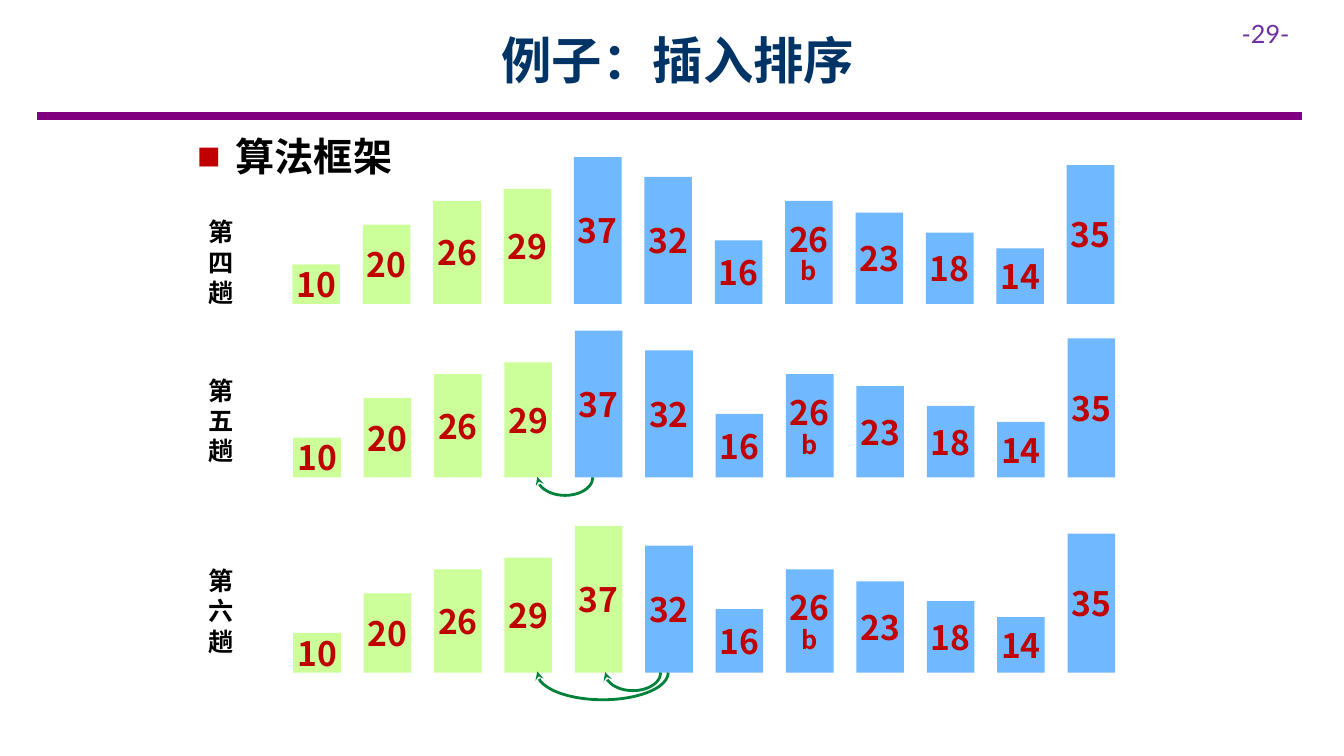
"""Build the insertion sort slide with three passes of bars."""
from lxml import etree
from pptx import Presentation
from pptx.dml.color import RGBColor
from pptx.enum.shapes import MSO_CONNECTOR, MSO_SHAPE
from pptx.enum.text import MSO_ANCHOR, MSO_AUTO_SIZE, PP_ALIGN
from pptx.oxml.ns import qn
from pptx.util import Cm, Pt

CENTER, LEFT = PP_ALIGN.CENTER, PP_ALIGN.LEFT
MIDDLE, TOP = MSO_ANCHOR.MIDDLE, MSO_ANCHOR.TOP
NO_AUTOFIT = MSO_AUTO_SIZE.NONE
RECTANGLE, ARC = MSO_SHAPE.RECTANGLE, MSO_SHAPE.ARC
STRAIGHT = MSO_CONNECTOR.STRAIGHT

COLORS = {
    "title": "003366", "rule": "800080", "page": "7030A0", "text": "000000",
    "accent": "C00000", "sorted": "CCFF99", "unsorted": "70B8FF", "arrow": "00823B",
}
CHINESE_FONT, LATIN_FONT = "Noto Sans CJK SC", "Lato"

BAR_LABELS = ["10", "20", "26", "29", "37", "32", "16", "26b", "23", "18", "14", "35"]
BAR_WIDTH, BAR_PITCH, HEIGHT_PER_UNIT = 1.2, 1.774, 0.1
HALF_TURN = (162, 54.597)

PASSES = [
    {"label": "第四趟", "label_top": 5.33, "left": 7.37, "base": 7.66,
     "sorted_count": 4, "arrows": []},
    {"label": "第五趟", "label_top": 9.32, "left": 7.39, "base": 12.03,
     "sorted_count": 4, "arrows": [(6.15, 1.4, 0.91)]},
    {"label": "第六趟", "label_top": 14.12, "left": 7.39, "base": 16.95,
     "sorted_count": 5, "arrows": [(7.86, 1.4, 0.91), (6.15, 3.3, 1.37)]},
]


def color(name):
    """Return the named colour."""
    return RGBColor.from_string(COLORS[name])


def write(paragraph, text, size=24, fill="text", font=CHINESE_FONT, bold=True,
          align=LEFT, spacing=None, after=0):
    """Write one formatted run into a paragraph."""
    paragraph.alignment = align
    paragraph.space_before, paragraph.space_after = Pt(0), Pt(after)
    if spacing is not None:
        paragraph.line_spacing = spacing
    run = paragraph.add_run()
    run.text = text
    run.font.size, run.font.bold, run.font.name = Pt(size), bold, font
    run.font.color.rgb = color(fill)
    east_asian = etree.SubElement(run.font._element, qn("a:ea"))
    east_asian.set("typeface", font)


def set_frame(shape, anchor=TOP, side=0.25, edge=0.13):
    """Set wrapping, anchor and insets, and return the text frame."""
    frame = shape.text_frame
    frame.word_wrap, frame.auto_size = True, NO_AUTOFIT
    frame.vertical_anchor = anchor
    frame.margin_left = frame.margin_right = Cm(side)
    frame.margin_top = frame.margin_bottom = Cm(edge)
    return frame


def place(shape, left, top, width, height):
    """Move a placeholder to a box given in centimetres."""
    shape.left, shape.top = Cm(left), Cm(top)
    shape.width, shape.height = Cm(width), Cm(height)


def add_text(slide, box, text, **text_format):
    """Add a text box with one paragraph."""
    shape = slide.shapes.add_textbox(*map(Cm, box))
    write(set_frame(shape).paragraphs[0], text, **text_format)


def add_bullet(paragraph):
    """Give the paragraph a hanging red square."""
    properties = paragraph._p.get_or_add_pPr()
    properties.set("marL", str(Cm(0.97)))
    properties.set("indent", str(-Cm(0.97)))
    bullet_color = etree.SubElement(properties, qn("a:buClr"))
    etree.SubElement(bullet_color, qn("a:srgbClr")).set("val", COLORS["accent"])
    etree.SubElement(properties, qn("a:buSzPct")).set("val", "60000")
    etree.SubElement(properties, qn("a:buFont")).set("typeface", CHINESE_FONT)
    etree.SubElement(properties, qn("a:buChar")).set("char", "■")


def add_header(slide):
    """Fill the title, the rule below it and the page number."""
    title = slide.shapes.title
    place(title, 6.53, 0.23, 21.11, 2.54)
    write(set_frame(title, MIDDLE).paragraphs[0], "例子：插入排序",
          size=36, fill="title", align=CENTER)
    rule = slide.shapes.add_connector(STRAIGHT, Cm(0.94), Cm(2.92), Cm(32.82), Cm(2.92))
    rule.line.color.rgb, rule.line.width = color("rule"), Pt(6)
    etree.SubElement(rule._element.spPr, qn("a:effectLst"))
    add_text(slide, (31.04, 0.33, 2.82, 1.02), "-29-",
             size=18, fill="page", font=LATIN_FONT, bold=False)


def add_topic(slide):
    """Fill the body placeholder with the bulleted topic."""
    body = slide.placeholders[1]
    place(body, 4.72, 3.33, 24, 1.45)
    paragraph = set_frame(body).paragraphs[0]
    add_bullet(paragraph)
    write(paragraph, "算法框架", size=28, spacing=0.9, after=6)


def add_bar(slide, left, base, label, fill):
    """Draw one bar whose height follows its value."""
    number, suffix = label[:2], label[2:]
    height = int(number) * HEIGHT_PER_UNIT
    bar = slide.shapes.add_shape(RECTANGLE, Cm(left), Cm(base - height),
                                 Cm(BAR_WIDTH), Cm(height))
    bar.shadow.inherit = False
    bar.fill.solid()
    bar.fill.fore_color.rgb = color(fill)
    bar.line.fill.background()
    frame = set_frame(bar, MIDDLE, side=0, edge=0.25)
    write(frame.paragraphs[0], number, fill="accent", align=CENTER)
    if suffix:
        write(frame.add_paragraph(), suffix, size=18, fill="accent",
              align=CENTER, spacing=0.9)


def add_arrow(slide, left, base, span, thickness):
    """Draw a curved arrow below the bars, running from right to left."""
    arrow = slide.shapes.add_shape(
        ARC, Cm(left + (span - thickness) / 2), Cm(base - span / 2), Cm(thickness), Cm(span))
    arrow.rotation = 90
    arrow.adjustments[0], arrow.adjustments[1] = HALF_TURN
    arrow.shadow.inherit = False
    arrow.fill.background()
    arrow.line.color.rgb, arrow.line.width = color("arrow"), Pt(2)
    etree.SubElement(arrow.line._get_or_add_ln(), qn("a:tailEnd")).set("type", "stealth")


def add_pass(slide, label, label_top, left, base, sorted_count, arrows):
    """Draw one pass with its label, bars and arrows."""
    for index, bar_label in enumerate(BAR_LABELS):
        fill = "sorted" if index < sorted_count else "unsorted"
        add_bar(slide, left + index * BAR_PITCH, base, bar_label, fill)
    for offset, span, thickness in arrows:
        add_arrow(slide, left + offset, base, span, thickness)
    add_text(slide, (5, label_top, 1.15, 2.57), label, size=18, spacing=Pt(21.6))


def main():
    """Build and save the presentation."""
    presentation = Presentation()
    presentation.slide_width, presentation.slide_height = Cm(33.87), Cm(19.05)
    slide = presentation.slides.add_slide(presentation.slide_layouts[1])
    add_header(slide)
    add_topic(slide)
    for sorting_pass in PASSES:
        add_pass(slide, **sorting_pass)
    presentation.save("out.pptx")


if __name__ == "__main__":
    main()
